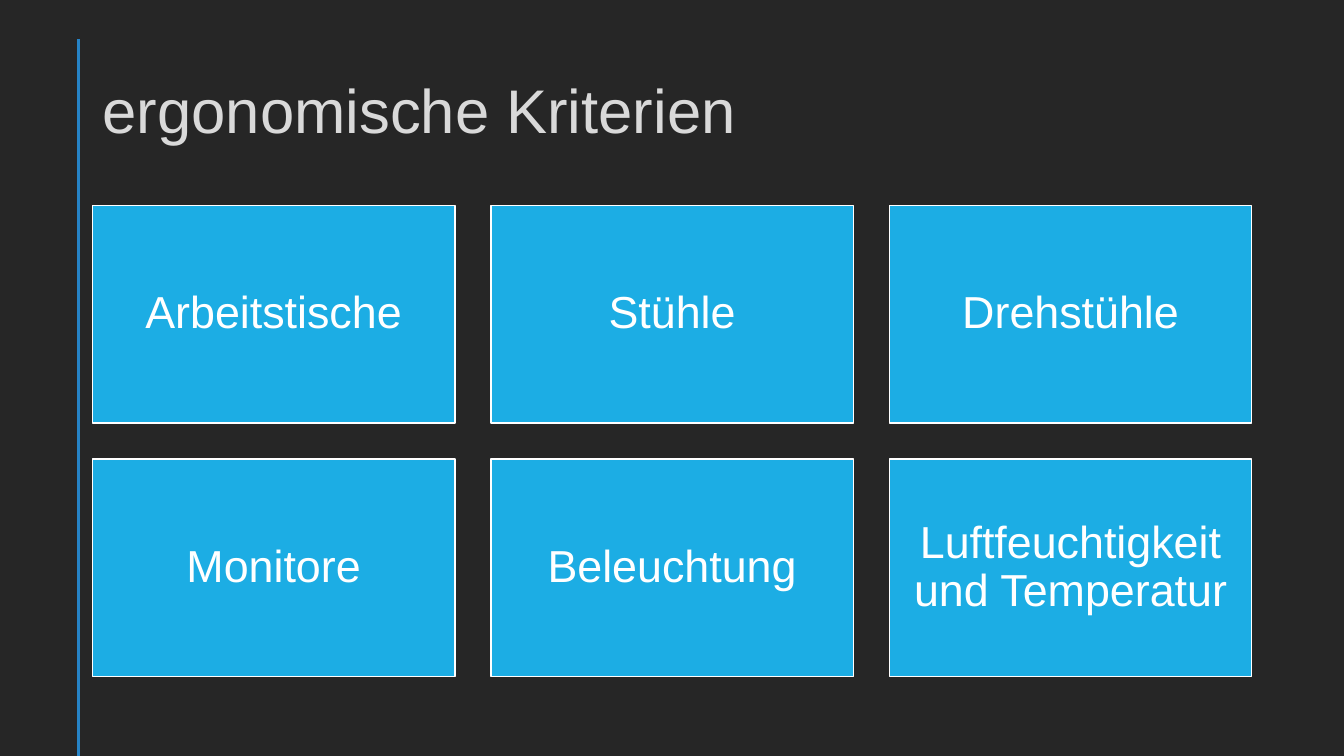
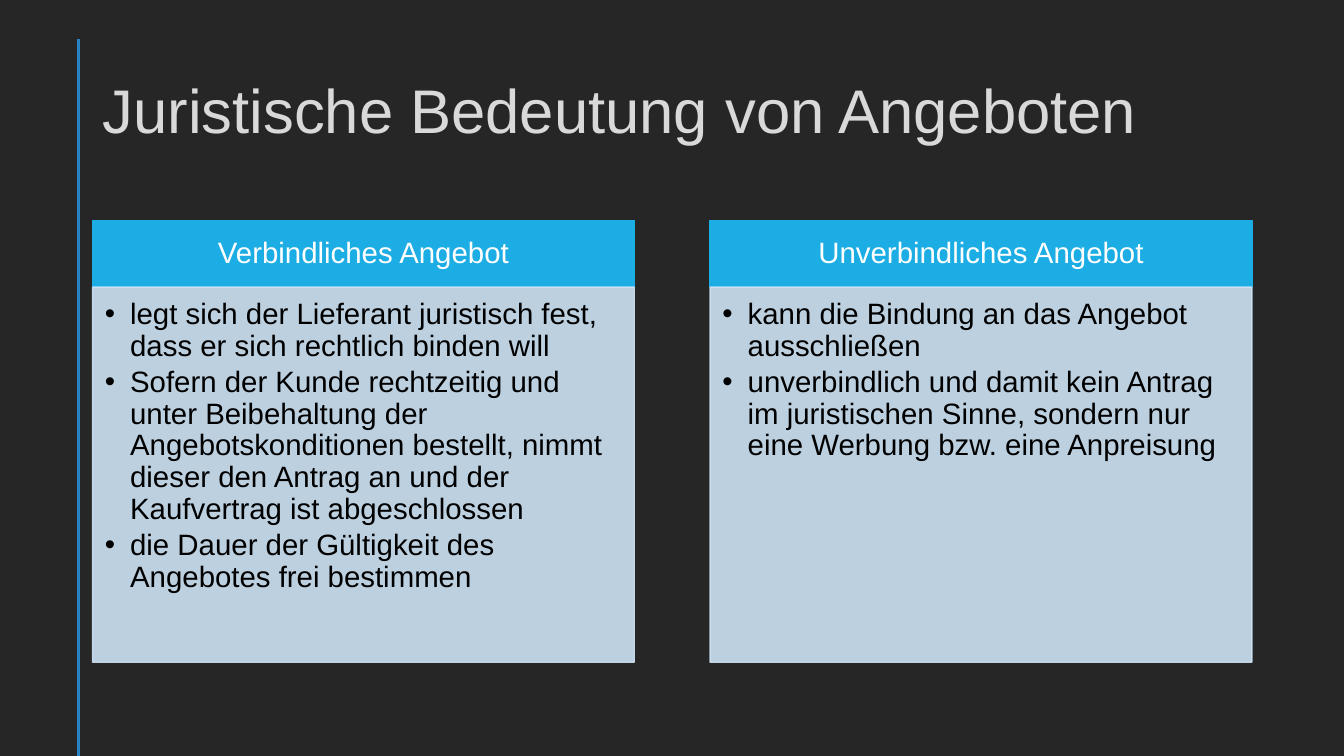
from lxml.etree import SubElement
from pptx import Presentation
from pptx.dml.color import RGBColor
from pptx.enum.shapes import MSO_CONNECTOR, MSO_SHAPE
from pptx.enum.text import MSO_ANCHOR, PP_ALIGN
from pptx.oxml.ns import qn
from pptx.util import Pt

COLORS = {
    "background": "262626",
    "rail": "2683C6",
    "title": "D9D9D9",
    "accent": "1CADE4",
    "panel": "CDE3F5",
    "white": "FFFFFF",
    "black": "000000",
}
FONT = "Arial"
SLIDE_WIDTH, SLIDE_HEIGHT = 960, 540
LEFT, CONTENT_WIDTH = 66.2, 828
PANEL_OPACITY = 90


def color(name):
    return RGBColor.from_string(COLORS[name])


def apply(target, values):
    for name, value in values.items():
        setattr(target, name, value)


class Deck:
    def __init__(self):
        self.presentation = Presentation()
        apply(self.presentation, {"slide_width": Pt(SLIDE_WIDTH), "slide_height": Pt(SLIDE_HEIGHT)})
        self.slide = None

    def add_slide(self, title):
        self.slide = self.presentation.slides.add_slide(self.presentation.slide_layouts[6])
        fill = self.slide.background.fill
        fill.solid()
        fill.fore_color.rgb = color("background")
        self.add_rail()
        self.add_title(title)

    def add_rail(self):
        rail = self.slide.shapes.add_connector(
            MSO_CONNECTOR.STRAIGHT, Pt(56.2), Pt(28), Pt(56.2), Pt(SLIDE_HEIGHT))
        rail.line.color.rgb = color("rail")
        rail.line.width = Pt(2)
        SubElement(rail._element.spPr, qn("a:effectLst"))

    def add_title(self, text):
        box = self.slide.shapes.add_textbox(Pt(LEFT), Pt(28.8), Pt(CONTENT_WIDTH), Pt(104.4))
        self.add_text(box, [text], 44, "title", insets=(7.2, 3.6, 7.2, 3.6))

    def add_box(self, left, top, width, height, fill, line, opacity=100):
        shape = self.slide.shapes.add_shape(
            MSO_SHAPE.RECTANGLE, Pt(left), Pt(top), Pt(width), Pt(height))
        shape.shadow.inherit = False
        shape.fill.solid()
        shape.fill.fore_color.rgb = color(fill)
        shape.line.color.rgb = color(line)
        shape.line.width = Pt(1)
        if opacity < 100:
            for paint in shape._element.spPr.iter(qn("a:srgbClr")):
                SubElement(paint, qn("a:alpha"), val=str(opacity * 1000))
        return shape

    def add_tile(self, text, left, top, width, height):
        tile = self.add_box(left, top, width, height, "accent", "white")
        self.add_text(tile, [text], 32, "white", (9.6, 9.6, 9.6, 9.6), PP_ALIGN.CENTER)

    def add_panel(self, heading, points, left, top, width):
        heading_height, body_height = 47.6, 268
        header = self.add_box(left, top, width, heading_height, "accent", "accent")
        self.add_text(header, [heading], 21, "white", (11.8, 6.7, 11.8, 6.7), PP_ALIGN.CENTER)
        body = self.add_box(left, top + heading_height, width, body_height,
                            "panel", "panel", PANEL_OPACITY)
        self.add_text(body, points, 21, "black", (8.8, 8.8, 11.8, 13.2),
                      anchor=MSO_ANCHOR.TOP, bullets=True)

    def add_text(self, shape, texts, size, text_color, insets,
                 alignment=PP_ALIGN.LEFT, anchor=MSO_ANCHOR.MIDDLE, bullets=False):
        frame = shape.text_frame
        sides = ("margin_left", "margin_top", "margin_right", "margin_bottom")
        apply(frame, dict(zip(sides, map(Pt, insets))))
        apply(frame, {"word_wrap": True, "vertical_anchor": anchor})
        for index, text in enumerate(texts):
            paragraph = frame.add_paragraph() if index else frame.paragraphs[0]
            if bullets:
                self.add_bullet(paragraph)
            apply(paragraph, {"alignment": alignment, "line_spacing": 0.9,
                              "space_after": Pt(3 if bullets else 0)})
            run = paragraph.add_run()
            run.text = text
            apply(run.font, {"name": FONT, "size": Pt(size)})
            run.font.color.rgb = color(text_color)

    def add_bullet(self, paragraph):
        properties = paragraph._p.get_or_add_pPr()
        properties.set("marL", str(Pt(18)))
        properties.set("indent", str(-Pt(18)))
        SubElement(properties, qn("a:buFont"), typeface=FONT)
        SubElement(properties, qn("a:buChar"), char="•")

    def add_tile_grid(self, texts, top, columns):
        width = CONTENT_WIDTH / (columns + 0.1 * (columns - 1))
        height, gap = 0.6 * width, 0.1 * width
        for index, text in enumerate(texts):
            row, column = divmod(index, columns)
            self.add_tile(text, LEFT + column * (width + gap), top + row * (height + gap),
                          width, height)

    def add_panel_row(self, panels, top):
        count = len(panels)
        width = CONTENT_WIDTH / (count + 0.14 * (count - 1))
        for index, (heading, points) in enumerate(panels.items()):
            self.add_panel(heading, points, LEFT + index * 1.14 * width, top, width)


def main():
    deck = Deck()

    deck.add_slide("ergonomische Kriterien")
    deck.add_tile_grid(
        ["Arbeitstische", "Stühle", "Drehstühle",
         "Monitore", "Beleuchtung", "Luftfeuchtigkeit und Temperatur"],
        top=146.8, columns=3)

    deck.add_slide("Juristische Bedeutung von Angeboten")
    deck.add_panel_row({
        "Verbindliches Angebot": [
            "legt sich der Lieferant juristisch fest, dass er sich rechtlich binden will",
            "Sofern der Kunde rechtzeitig und unter Beibehaltung der Angebotskonditionen "
            "bestellt, nimmt dieser den Antrag an und der Kaufvertrag ist abgeschlossen",
            "die Dauer der Gültigkeit des Angebotes frei bestimmen",
        ],
        "Unverbindliches Angebot": [
            "kann die Bindung an das Angebot ausschließen",
            "unverbindlich und damit kein Antrag im juristischen Sinne, sondern nur "
            "eine Werbung bzw. eine Anpreisung",
        ],
    }, top=157.5)

    deck.presentation.save("out.pptx")


if __name__ == "__main__":
    main()
